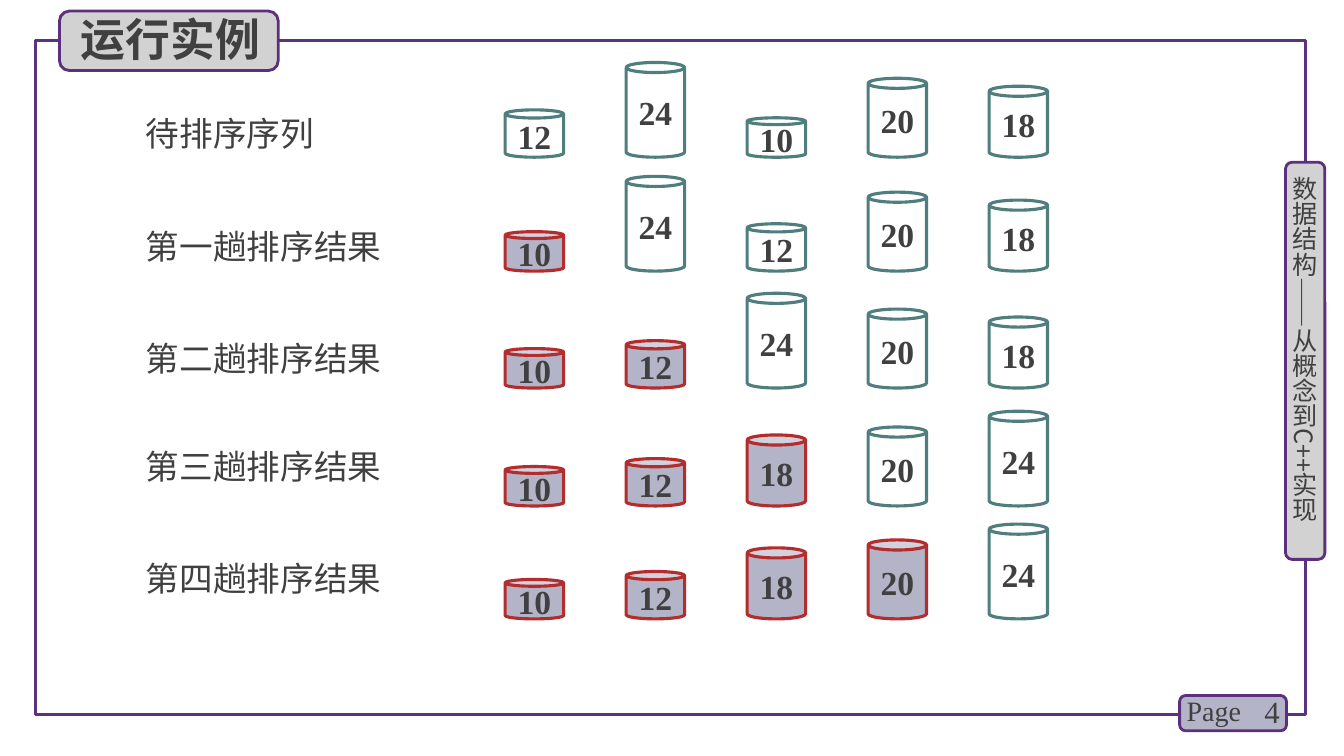
from pptx import Presentation
from pptx.dml.color import RGBColor
from pptx.enum.shapes import MSO_SHAPE as Shape
from pptx.enum.text import MSO_ANCHOR as Anchor, PP_ALIGN as Align
from pptx.oxml.ns import qn
from pptx.util import Inches, Pt
from lxml.etree import SubElement

TITLE = "运行实例"
BOOK = "数据结构——从概念到C++实现"
# label, label top, base of the cans, values; each pass sorts one more can
PASSES = [
    ("待排序序列", 1.07, 1.56, (12, 24, 10, 20, 18)),
    ("第一趟排序结果", 2.19, 2.69, (10, 24, 12, 20, 18)),
    ("第二趟排序结果", 3.3, 3.85, (10, 12, 24, 20, 18)),
    ("第三趟排序结果", 4.37, 5.02, (10, 12, 18, 20, 24)),
    ("第四趟排序结果", 5.49, 6.14, (10, 12, 18, 20, 24)),
]
LEFT, STEP, WIDE = 5.01, 1.2, 0.58
UNIT = 0.94 / 24  # can height for each unit of value

HAN, ROMAN = "Noto Sans CJK SC", "Times New Roman"
INK = RGBColor(0x40, 0x40, 0x40)
FRAME = RGBColor(0x5A, 0x32, 0x7D)
EDGE = RGBColor(0x5C, 0x30, 0x7D)
GRAY = RGBColor(0xD2, 0xD2, 0xD2)
LILAC = RGBColor(0xB4, 0xB4, 0xC8)
TEAL = RGBColor(0x50, 0x7D, 0x7D)
RED = RGBColor(0xB4, 0x2D, 0x2D)

deck = Presentation()
deck.slide_width, deck.slide_height = Inches(13.33), Inches(7.5)
slide = deck.slides.add_slide(deck.slide_layouts[5])
shapes = slide.shapes


def write(shape, text, size, face=HAN, bold=False, align=Align.LEFT):
    frame = shape.text_frame
    frame.text = text
    para = frame.paragraphs[0]
    para.alignment = align
    run = para.runs[0]
    font = run.font
    font.size, font.bold, font.name = Pt(size), bold, face
    font.color.rgb = INK
    SubElement(font._element, qn("a:ea")).set("typeface", face)
    return frame


def draw(kind, box, line, width, fill=None):
    shape = shapes.add_shape(kind, *map(Inches, box))
    shape.shadow.inherit = False
    shape.line.color.rgb = line
    shape.line.width = Pt(width)
    if fill is None:
        shape.fill.background()
    else:
        shape.fill.solid()
        shape.fill.fore_color.rgb = fill
    return shape


def label(box, *args, **style):
    shape = shapes.add_textbox(*map(Inches, box))
    frame = write(shape, *args, **style)
    frame.word_wrap = True
    return frame


def place_title():
    title = shapes.title
    title.left, title.top, title.width, title.height = map(
        Inches, (0.7, 0.07, 2.1, 0.64))
    frame = write(title, TITLE, 32, bold=True)
    frame.vertical_anchor = Anchor.TOP
    shapes._spTree.append(title._element)  # above its badge


def draw_can(col, base, value, done):
    high = value * UNIT
    can = draw(Shape.CAN, (LEFT + col * STEP, base - high, WIDE, high),
               RED if done else TEAL, 2.25, LILAC if done else None)
    can.adjustments[0] = 0.173
    frame = write(can, str(value), 24, ROMAN, True, Align.CENTER)
    frame.vertical_anchor = Anchor.MIDDLE
    frame.word_wrap = False


draw(Shape.RECTANGLE, (0.35, 0.4, 12.6, 6.69), FRAME, 2.25)

draw(Shape.ROUNDED_RECTANGLE, (11.7, 6.9, 1.06, 0.35), EDGE, 2, LILAC)
number = label((12.2, 6.86, 0.59, 0.4), "4", 22, ROMAN, align=Align.RIGHT)
number.vertical_anchor = Anchor.MIDDLE
label((11.67, 6.83, 0.78, 0.44), "Page", 20, ROMAN)

draw(Shape.ROUNDED_RECTANGLE, (12.75, 1.61, 0.39, 3.94), EDGE, 2, GRAY)
book = label((12.79, 1.75, 0.3, 3.78), BOOK, 18)
book.margin_left = book.margin_right = book.margin_top = book.margin_bottom = 0
book._txBody.bodyPr.set("vert", "eaVert")

draw(Shape.ROUNDED_RECTANGLE, (0.59, 0.11, 2.17, 0.59), EDGE, 2, GRAY)
place_title()

for count, (name, top, base, values) in enumerate(PASSES):
    label((1.35, top, 2.93, 0.5), name, 24)
    for col, value in enumerate(values):
        draw_can(col, base, value, col < count)

deck.save("out.pptx")
